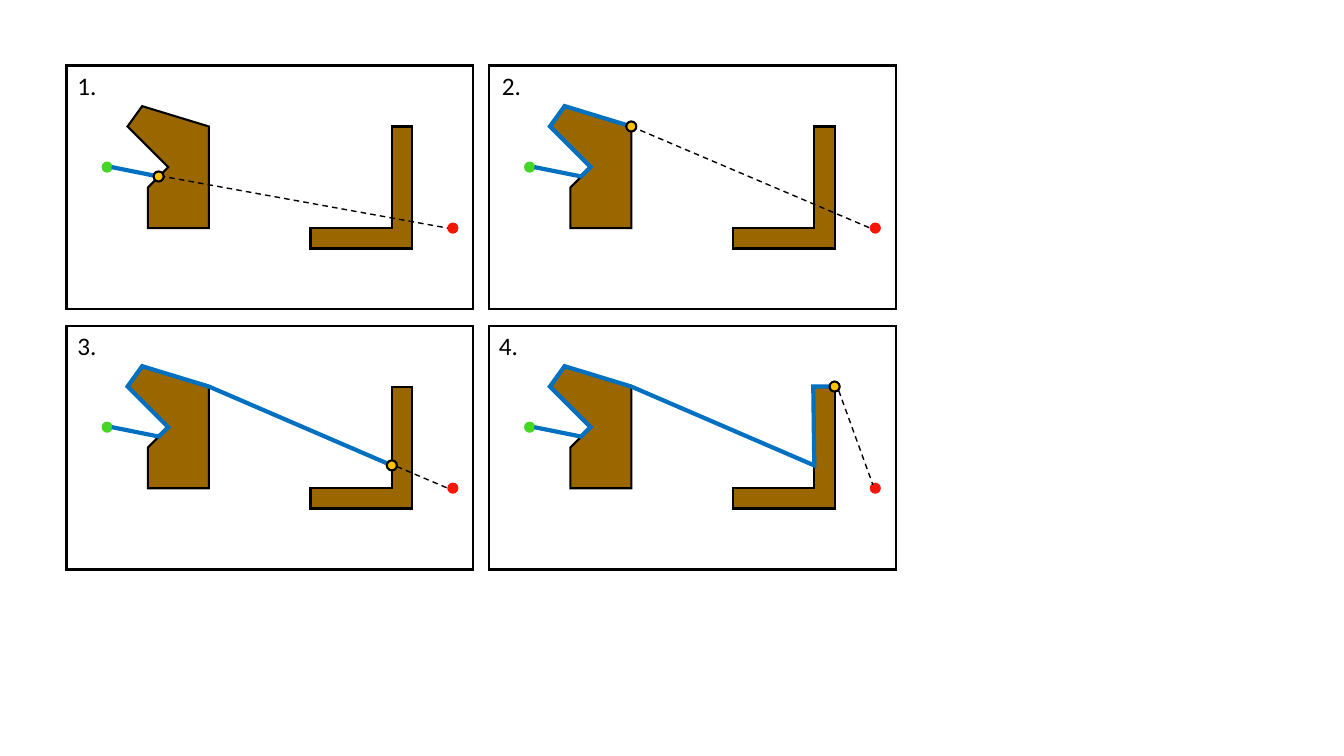
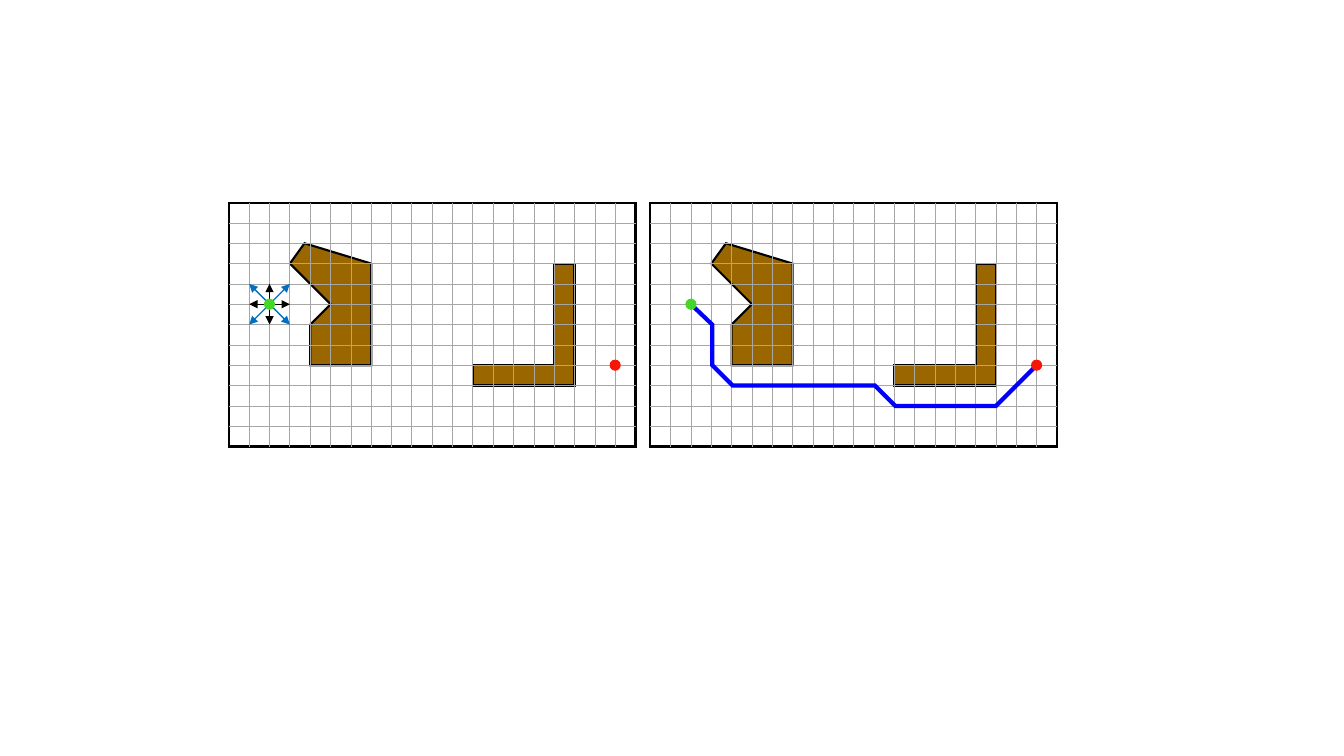
import lxml.etree
import pptx
import pptx.dml.color
import pptx.enum.dml
import pptx.enum.shapes
import pptx.oxml.ns
import pptx.util

Inches = pptx.util.Inches

COLORS = {
    "ink": "000000",
    "obstacle": "996600",
    "start": "45D628",
    "goal": "F81706",
    "turn": "FFC000",
    "trail": "0070C0",
    "route": "0000FF",
    "grid": "A6A6A6",
}
FONT = "Calibri"

# Scene geometry, counted in grid cells from the panel's top left corner
COLUMNS, ROWS = 20, 12
PANEL_HEIGHT = 2.42
CELL = PANEL_HEIGHT / ROWS
DOT = 0.1
BOULDER = [(3, 3), (5, 5), (4, 6), (4, 8), (7, 8), (7, 3), (3.72, 2)]
WALL = [(12, 8), (12, 9), (17, 9), (17, 3), (16, 3), (16, 8)]
START, GOAL = (2, 5), (19, 8)
START_EDGE, GOAL_EDGE = (2.23, 5), (18.75, 8)


class Sketch:
    """Draws in cells of the current panel on the current slide."""

    def __init__(self):
        self.deck = pptx.Presentation()
        self.deck.slide_width = Inches(13.33)
        self.deck.slide_height = Inches(7.5)

    def new_slide(self):
        self.slide = self.deck.slides.add_slide(self.deck.slide_layouts[6])

    def place(self, cell):
        column, row = cell
        return Inches(self.left + column * CELL), Inches(self.top + row * CELL)

    def rgb(self, color):
        return pptx.dml.color.RGBColor.from_string(COLORS[color])

    def stroke(self, shape, color, width, dashed=False, arrows=False):
        shape.line.color.rgb = self.rgb(color)
        shape.line.width = pptx.util.Pt(width)
        if dashed:
            shape.line.dash_style = pptx.enum.dml.MSO_LINE.DASH
        outline = shape.get_or_add_ln()
        qn = pptx.oxml.ns.qn
        lxml.etree.SubElement(outline, qn("a:miter"), lim="800000")
        if arrows:
            for end in ("a:headEnd", "a:tailEnd"):
                lxml.etree.SubElement(outline, qn(end), type="triangle")

    def paint(self, shape, fill, color, width):
        shape.shadow.inherit = False
        if fill:
            shape.fill.solid()
            shape.fill.fore_color.rgb = self.rgb(fill)
        else:
            shape.fill.background()
        self.stroke(shape, color, width)

    def line(self, begin, end, color, width, dashed=False, arrows=False, shapes=None):
        connector = (shapes or self.slide.shapes).add_connector(
            pptx.enum.shapes.MSO_CONNECTOR.STRAIGHT, *self.place(begin), *self.place(end))
        self.stroke(connector, color, width, dashed, arrows)
        lxml.etree.SubElement(connector.element.spPr, pptx.oxml.ns.qn("a:effectLst"))

    def outline(self, cells, color, width, fill=None, shapes=None):
        """A closed outline when filled, otherwise an open path."""
        points = [self.place(cell) for cell in cells]
        builder = (shapes or self.slide.shapes).build_freeform(*points[0], scale=1.0)
        builder.add_line_segments(points[1:], close=fill is not None)
        self.paint(builder.convert_to_shape(), fill, color, width)

    def dot(self, cell, fill, color=None, width=0.75):
        x, y = self.place(cell)
        size = Inches(DOT)
        circle = self.slide.shapes.add_shape(
            pptx.enum.shapes.MSO_SHAPE.OVAL, x - size // 2, y - size // 2, size, size)
        self.paint(circle, fill, color or fill, width)

    def panel(self, left, top):
        """Frame and both obstacles; later elements refer to this panel."""
        self.left, self.top = left, top
        shapes = self.slide.shapes.add_group_shape().shapes
        frame = shapes.add_shape(
            pptx.enum.shapes.MSO_SHAPE.RECTANGLE, *self.place((0, 0)),
            Inches(COLUMNS * CELL), Inches(PANEL_HEIGHT))
        self.paint(frame, None, "ink", 1.5)
        for obstacle in (BOULDER, WALL):
            self.outline(obstacle, "ink", 1.5, "obstacle", shapes)

    def grid(self):
        shapes = self.slide.shapes.add_group_shape().shapes
        for row in range(1, ROWS):
            self.line((0, row), (COLUMNS, row), "grid", 0.5, shapes=shapes)
        for column in range(1, COLUMNS):
            self.line((column, 0), (column, ROWS), "grid", 0.5, shapes=shapes)

    def endpoints(self):
        self.dot(START, "start")
        self.dot(GOAL, "goal")

    def label(self, text, indent):
        box = self.slide.shapes.add_textbox(
            Inches(self.left + indent), Inches(self.top), Inches(0.39), Inches(0.4))
        box.text_frame.word_wrap = False
        run = box.text_frame.paragraphs[0].add_run()
        run.text = text
        run.font.name = FONT
        run.font.size = pptx.util.Pt(18)
        run.font.color.rgb = self.rgb("ink")


def wall_following(sketch):
    """Four steps: head for the goal, follow each obstacle, head on."""
    sketch.new_slide()
    first_hit, second_hit = (4.53, 5.46), (16, 6.88)
    boulder_corner, wall_corner = (7, 3), (17, 3)
    around_boulder = [START_EDGE, first_hit, (5, 5), (3, 3), (3.72, 2), boulder_corner]
    to_wall = around_boulder + [second_hit]
    # Trail so far, turning point, dashed sight line, label indent
    steps = [
        ([START_EDGE, first_hit], first_hit, (START_EDGE, GOAL_EDGE), 0.01),
        (around_boulder, boulder_corner, (boulder_corner, GOAL_EDGE), 0.03),
        (to_wall, second_hit, (boulder_corner, GOAL_EDGE), 0.01),
        (to_wall + [(15.95, 3), wall_corner], wall_corner,
         ((17.2, 3.2), (18.88, 7.83)), 0),
    ]
    for index, (trail, turn, sight, indent) in enumerate(steps):
        row, column = divmod(index, 2)
        sketch.panel(0.66 + column * 4.19, 0.65 + row * 2.58)
        sketch.endpoints()
        sketch.line(*sight, "ink", 1, dashed=True)
        if len(trail) == 2:
            sketch.line(*trail, "trail", 3)
        else:
            sketch.outline(trail, "trail", 3)
        sketch.dot(turn, "turn", "ink", 1.5)
        sketch.label(f"{index + 1}.", indent)


def grid_search(sketch):
    """Possible moves on the grid, then the route found."""
    sketch.new_slide()
    top = 2.01

    # Eight moves from the start cell
    sketch.panel(2.27, top)
    sketch.grid()
    moves = [((1, 5), (3, 5), "ink"), ((2, 4), (2, 6), "ink"),
             ((3, 4), (1, 6), "trail"), ((3, 6), (1, 4), "trail")]
    for begin, end, color in moves:
        sketch.line(begin, end, color, 1, arrows=True)
    sketch.endpoints()

    # Shortest route
    sketch.panel(6.45, top)
    sketch.grid()
    route = [START, (3.05, 6), (3.05, 8), (4.05, 9), (11.05, 9), (12.05, 10), (17, 10), GOAL]
    sketch.outline(route, "route", 3)
    sketch.endpoints()


def main():
    sketch = Sketch()
    wall_following(sketch)
    grid_search(sketch)
    sketch.deck.save("out.pptx")


if __name__ == "__main__":
    main()
